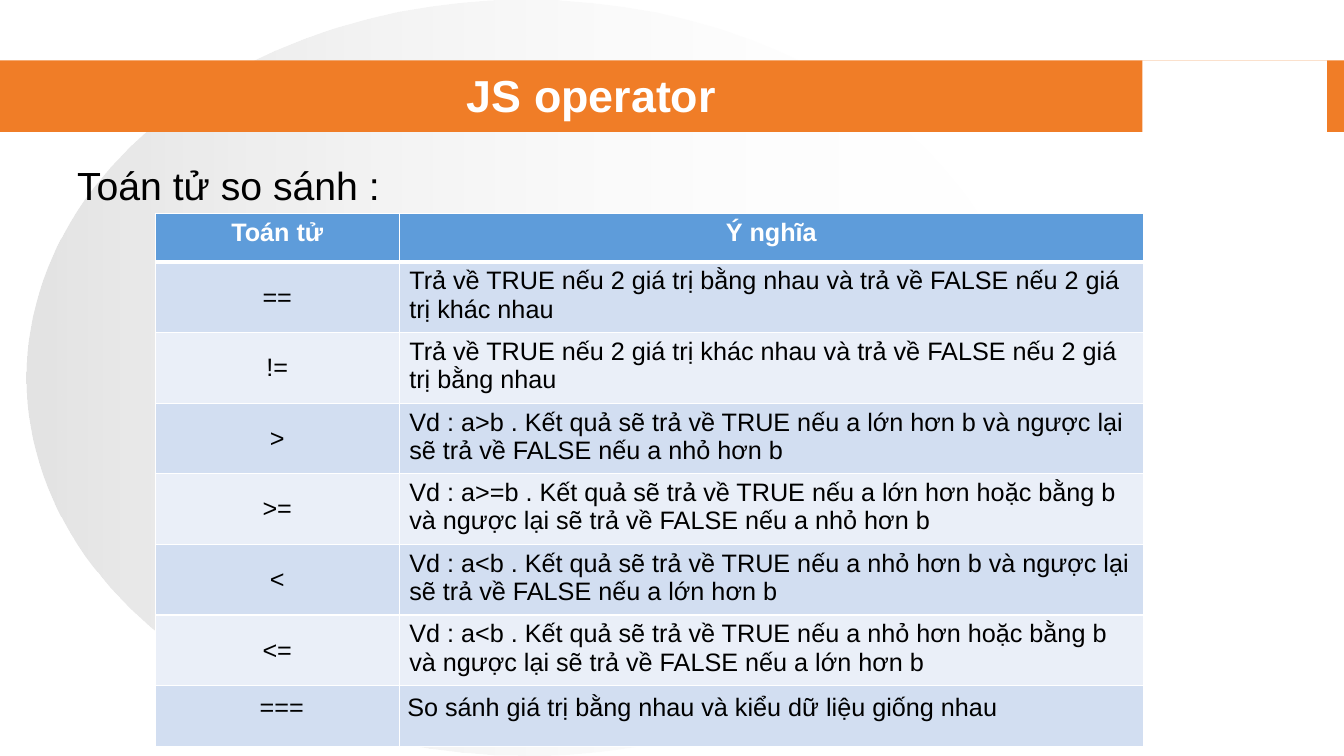
from lxml.etree import SubElement
from pptx import Presentation
from pptx.dml.color import RGBColor
from pptx.enum.shapes import MSO_SHAPE as Shape
from pptx.enum.text import MSO_ANCHOR as Anchor, PP_ALIGN as Align
from pptx.oxml.ns import qn
from pptx.util import Inches, Pt

TITLE = "JS operator"
SUBTITLE = "Toán tử so sánh :"
ROWS = [
    ("Toán tử", "Ý nghĩa"),
    ("==", "Trả về TRUE nếu 2 giá trị bằng nhau và trả về FALSE nếu 2 giá trị khác nhau"),
    ("!=", "Trả về TRUE nếu 2 giá trị khác nhau và trả về FALSE nếu 2 giá trị bằng nhau"),
    (">", "Vd : a>b . Kết quả sẽ trả về TRUE nếu a lớn hơn b và ngược lại sẽ trả về FALSE nếu a nhỏ hơn b"),
    (">=", "Vd : a>=b . Kết quả sẽ trả về TRUE nếu a lớn hơn hoặc bằng b và ngược lại sẽ trả về FALSE nếu a nhỏ hơn b"),
    ("<", "Vd : a<b . Kết quả sẽ trả về TRUE nếu a nhỏ hơn b và ngược lại sẽ trả về FALSE nếu a lớn hơn b"),
    ("<=", "Vd : a<b . Kết quả sẽ trả về TRUE nếu a nhỏ hơn hoặc bằng b và ngược lại sẽ trả về FALSE nếu a lớn hơn b"),
    ("===", "So sánh giá trị bằng nhau và kiểu dữ liệu giống nhau"),
]
WHITE = RGBColor(0xFF, 0xFF, 0xFF)
BLACK = RGBColor(0, 0, 0)
GRAY = RGBColor(0xC0, 0xC0, 0xC0)
ORANGE = RGBColor(0xF0, 0x7D, 0x27)
HEADER = RGBColor(0x5E, 0x9C, 0xDA)
BANDS = [RGBColor(0xEA, 0xEF, 0xF8), RGBColor(0xD2, 0xDE, 0xF1)]

WIDTH, HEIGHT = 13.33, 7.5
MARGIN = WIDTH / 20
BAND_TOP, BAND_HEIGHT = 0.6, 0.71
COLUMNS = [2.42, 7.38]
HEIGHTS = [0.48] + [0.66] * (len(ROWS) - 2) + [0.6]
LAST = len(ROWS) - 1
LAST_INSETS = [(0.17, 0.08), (0.08, 0.08)]


def inches(*lengths):
    """Convert lengths to slide units."""
    return [Inches(length) for length in lengths]


def add_block(page, kind, place, color=None):
    """Add a plain shape without outline or shadow."""
    box = page.shapes.add_shape(kind, *inches(*place))
    box.shadow.inherit = False
    box.line.fill.background()
    if color is not None:
        box.fill.solid()
        box.fill.fore_color.rgb = color
    return box


def write(frame, text, size, color, align=Align.LEFT, bold=False):
    """Write one formatted paragraph."""
    para = frame.paragraphs[0]
    para.alignment = align
    span = para.add_run()
    span.text = text
    span.font.color.rgb = color
    for name, value in {"name": "Arial", "size": Pt(size), "bold": bold}.items():
        setattr(span.font, name, value)


def add_text(page, place, wrap, anchor, *text):
    """Add a text box with one paragraph."""
    frame = page.shapes.add_textbox(*inches(*place)).text_frame
    frame.word_wrap = wrap
    frame.vertical_anchor = anchor
    write(frame, *text)


def set_borders(cell, widths):
    """Draw white borders on the sides of a cell."""
    properties = cell._tc.get_or_add_tcPr()
    for side, width in widths.items():
        line = SubElement(properties, qn(f"a:ln{side}"), w=str(Pt(width)))
        solid = SubElement(line, qn("a:solidFill"))
        SubElement(solid, qn("a:srgbClr"), val=str(WHITE))


def add_backdrop(page):
    """Add the fading ellipse and the title band with its gap."""
    ellipse = add_block(page, Shape.OVAL, (0.26, 0, 9.92, HEIGHT))
    ellipse.fill.gradient()
    ellipse.fill.gradient_angle = 0
    for stop, color, opacity in zip(ellipse.fill.gradient_stops, (GRAY, WHITE), (44, 0)):
        stop.color.rgb = color
        tone = stop._gs.find(qn("a:srgbClr"))
        SubElement(tone, qn("a:alpha"), val=str(opacity * 1000))
    for left, width, color in [(0, WIDTH, ORANGE), (11.33, 1.83, WHITE)]:
        add_block(page, Shape.RECTANGLE, (left, BAND_TOP, width, BAND_HEIGHT), color)


def add_operators(page):
    """Add the table of comparison operators."""
    place = inches(1.54, 2.12, sum(COLUMNS), sum(HEIGHTS))
    table = page.shapes.add_table(len(ROWS), len(COLUMNS), *place).table
    for column, width in zip(table.columns, COLUMNS):
        column.width = Inches(width)
    for r, (texts, height) in enumerate(zip(ROWS, HEIGHTS)):
        table.rows[r].height = Inches(height)
        head = r == 0
        for c, text in enumerate(texts):
            cell = table.cell(r, c)
            set_borders(cell, {"L": 1, "R": 1, "T": 3 if r == 1 else 1, "B": 3 if head else 1})
            cell.fill.solid()
            cell.fill.fore_color.rgb = HEADER if head else BANDS[r % 2]
            centered = head or c == 0
            cell.vertical_anchor = Anchor.MIDDLE if c == 0 and 0 < r < LAST else Anchor.TOP
            if r == LAST:
                left, other = LAST_INSETS[c]
                cell.margin_left = Inches(left)
                cell.margin_right = cell.margin_top = cell.margin_bottom = Inches(other)
            write(cell.text_frame, text, 18, WHITE if head else BLACK,
                  Align.CENTER if centered else Align.LEFT, head)


def main():
    """Build and save the slide."""
    deck = Presentation()
    deck.slide_width, deck.slide_height = inches(WIDTH, HEIGHT)
    page = deck.slides.add_slide(deck.slide_layouts[6])
    add_backdrop(page)
    add_text(page, (MARGIN, 0.67, 10.4, 0.53), True, Anchor.MIDDLE,
             TITLE, 32, WHITE, Align.CENTER, True)
    add_operators(page)
    add_text(page, (MARGIN, 1.55, 3.24, 0.57), False, Anchor.TOP, SUBTITLE, 28, BLACK)
    deck.save("out.pptx")


if __name__ == "__main__":
    main()
